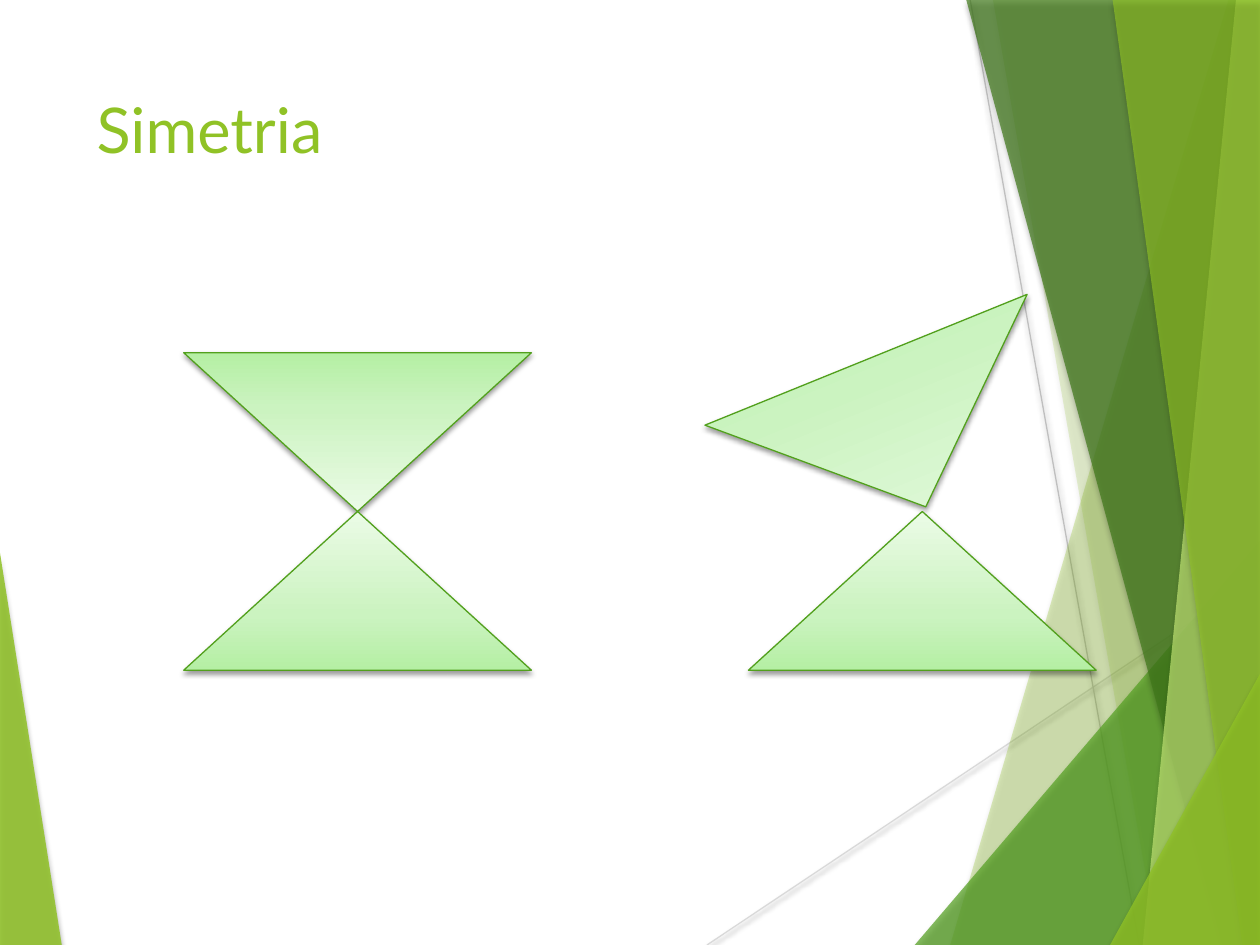
from lxml import etree
from pptx import Presentation
from pptx import util as u
from pptx.dml.color import RGBColor
from pptx.enum import shapes, text
from pptx.oxml.ns import qn

WIDTH, HEIGHT = 720, 540
FONT = "Lato"
GREEN, DARK_GREEN, DEEP_GREEN, PALE_GREEN = "90C226", "54A021", "3F7819", "C0E474"
OUTLINE = "52A01D"
GRADIENT = [(0, "B5EFA4"), (35, "CBF3C0"), (100, "EBFBE6")]
FACET_SHADOW = (35, 3, 2)
OBJECT_SHADOW = (38, 3.1, 1.6)


def color(value):
    return RGBColor.from_string(value)


def add_color(parent, value, alpha=None):
    """Append an XML colour, with its opacity in percent."""
    element = etree.SubElement(parent, qn("a:srgbClr"), val=value)
    if alpha is not None:
        etree.SubElement(element, qn("a:alpha"), val=str(alpha * 1000))


def add_shadow(shape, alpha, blur, distance):
    """Cast a black shadow downwards; call after fill and line are set."""
    effects = etree.SubElement(shape._element.spPr, qn("a:effectLst"))
    shadow = etree.SubElement(
        effects, qn("a:outerShdw"), blurRad=str(u.Pt(blur)),
        dist=str(u.Pt(distance)), dir="5400000", rotWithShape="0")
    add_color(shadow, "000000", alpha)


class SlideBuilder:
    def __init__(self, presentation):
        self.slide = presentation.slides.add_slide(presentation.slide_layouts[5])
        self.shapes = self.slide.shapes

    def title(self, words, left, top, width, height):
        shape = self.shapes.title
        shape.left, shape.top = u.Pt(left), u.Pt(top)
        shape.width, shape.height = u.Pt(width), u.Pt(height)
        frame = shape.text_frame
        frame.text = words
        frame.word_wrap = True
        frame.vertical_anchor = text.MSO_ANCHOR.TOP
        paragraph = frame.paragraphs[0]
        paragraph.alignment = text.PP_ALIGN.LEFT
        paragraph.font.name = FONT
        paragraph.font.size = u.Pt(36)
        paragraph.font.color.rgb = color(GREEN)
        # Bring the title in front of the facets
        self.shapes._spTree.append(shape._element)

    def facet(self, points, fill, alpha):
        start, *rest = [(u.Pt(x), u.Pt(y)) for x, y in points]
        builder = self.shapes.build_freeform(*start)
        builder.add_line_segments(rest, close=True)
        shape = builder.convert_to_shape()
        shape.fill.solid()
        shape.fill.fore_color.rgb = color(fill)
        solid = shape._element.spPr.find(qn("a:solidFill"))
        solid.clear()
        add_color(solid, fill, alpha)
        shape.line.fill.background()
        add_shadow(shape, *FACET_SHADOW)

    def line(self, start, end, stroke):
        connector = self.shapes.add_connector(
            shapes.MSO_CONNECTOR.STRAIGHT, *map(u.Pt, start + end))
        connector.line.color.rgb = color(stroke)
        connector.line.width = u.Pt(0.75)
        add_shadow(connector, *OBJECT_SHADOW)

    def triangle(self, left, top, flipped=False, rotation=0):
        shape = self.shapes.add_shape(
            shapes.MSO_SHAPE.ISOSCELES_TRIANGLE,
            u.Pt(left), u.Pt(top), u.Pt(198.7), u.Pt(90.7))
        shape.rotation = rotation
        if flipped:
            shape._element.spPr.xfrm.set("flipV", "1")
        shape.fill.gradient()
        shape.fill.gradient_angle = 90
        stops = shape._element.spPr.find(qn("a:gradFill")).find(qn("a:gsLst"))
        stops.clear()
        for position, value in GRADIENT:
            stop = etree.SubElement(stops, qn("a:gs"), pos=str(position * 1000))
            add_color(stop, value)
        shape.line.color.rgb = color(OUTLINE)
        shape.line.width = u.Pt(0.75)
        add_shadow(shape, *OBJECT_SHADOW)


def main():
    presentation = Presentation()
    presentation.slide_width, presentation.slide_height = u.Pt(WIDTH), u.Pt(HEIGHT)
    builder = SlideBuilder(presentation)

    builder.facet([(0, 316), (35.3, HEIGHT), (0, HEIGHT)], GREEN, 85)
    builder.line((404, HEIGHT), (WIDTH, 329), "D9D9D9")
    builder.line((554.4, 0), (651, HEIGHT), "BFBFBF")

    # Right-hand facets: top x and y of the slanted edge, bottom x, fill, opacity
    for top_x, top_y, bottom_x, fill, alpha in [
        (702, 0, 543, GREEN, 30),
        (567.4, 0, 661.7, GREEN, 20),
        (WIDTH, 309, 522.7, DARK_GREEN, 72),
        (552.2, 0, 698.4, DEEP_GREEN, 70),
        (706.3, 0, 653, PALE_GREEN, 70),
        (635.8, 0, 710, GREEN, 65),
        (WIDTH, 385, 634.3, GREEN, 80),
    ]:
        points = [(top_x, top_y), (bottom_x, HEIGHT), (WIDTH, HEIGHT)]
        if top_x < WIDTH:
            points.append((WIDTH, top_y))
        builder.facet(points, fill, alpha)

    builder.title("Simetria", 48, 48, 500, 104)

    builder.triangle(105, 201.6, flipped=True)
    builder.triangle(105, 292.3)
    builder.triangle(412.6, 202.3, flipped=True, rotation=337.9)
    builder.triangle(427.7, 292.3)

    presentation.save("out.pptx")


if __name__ == "__main__":
    main()
